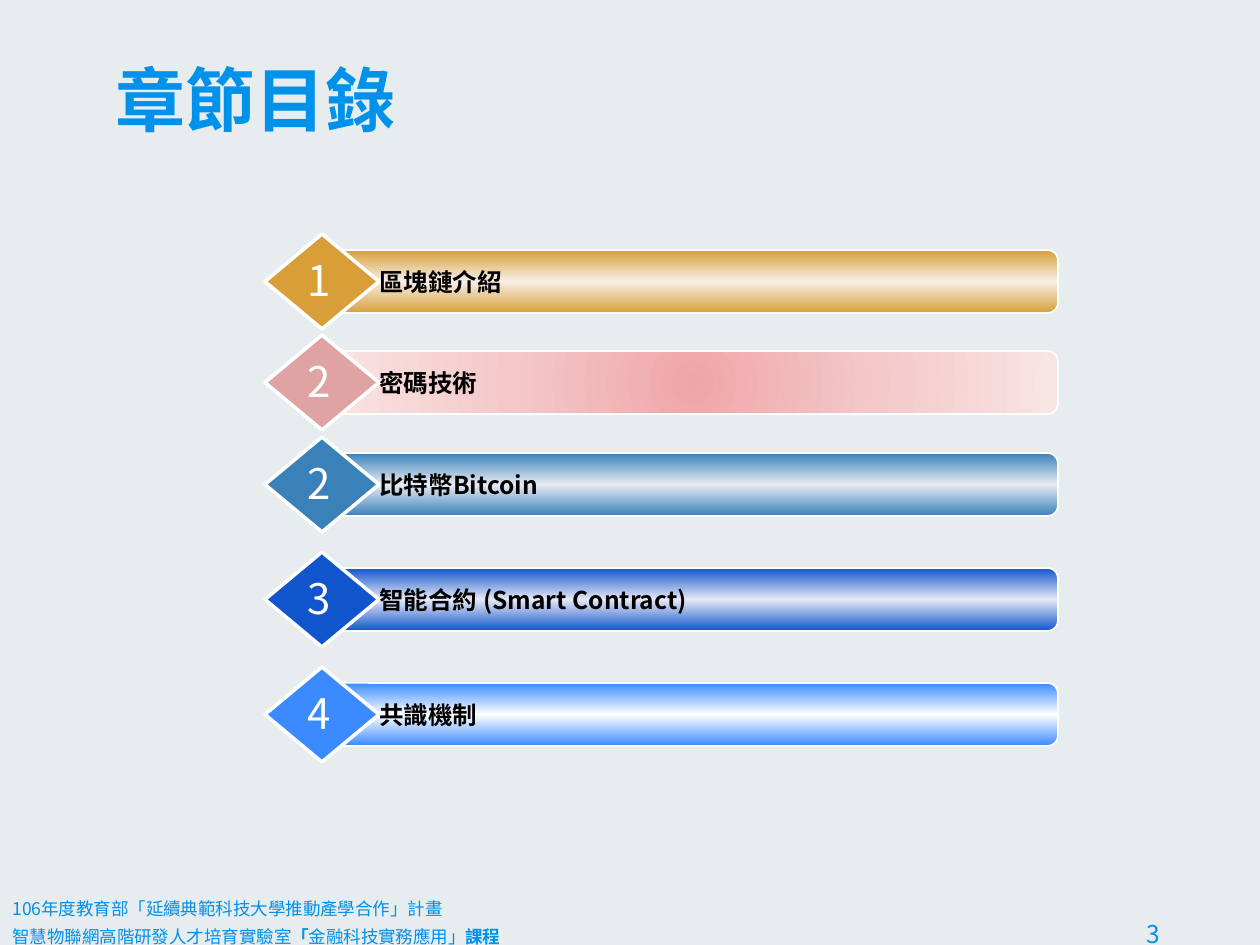
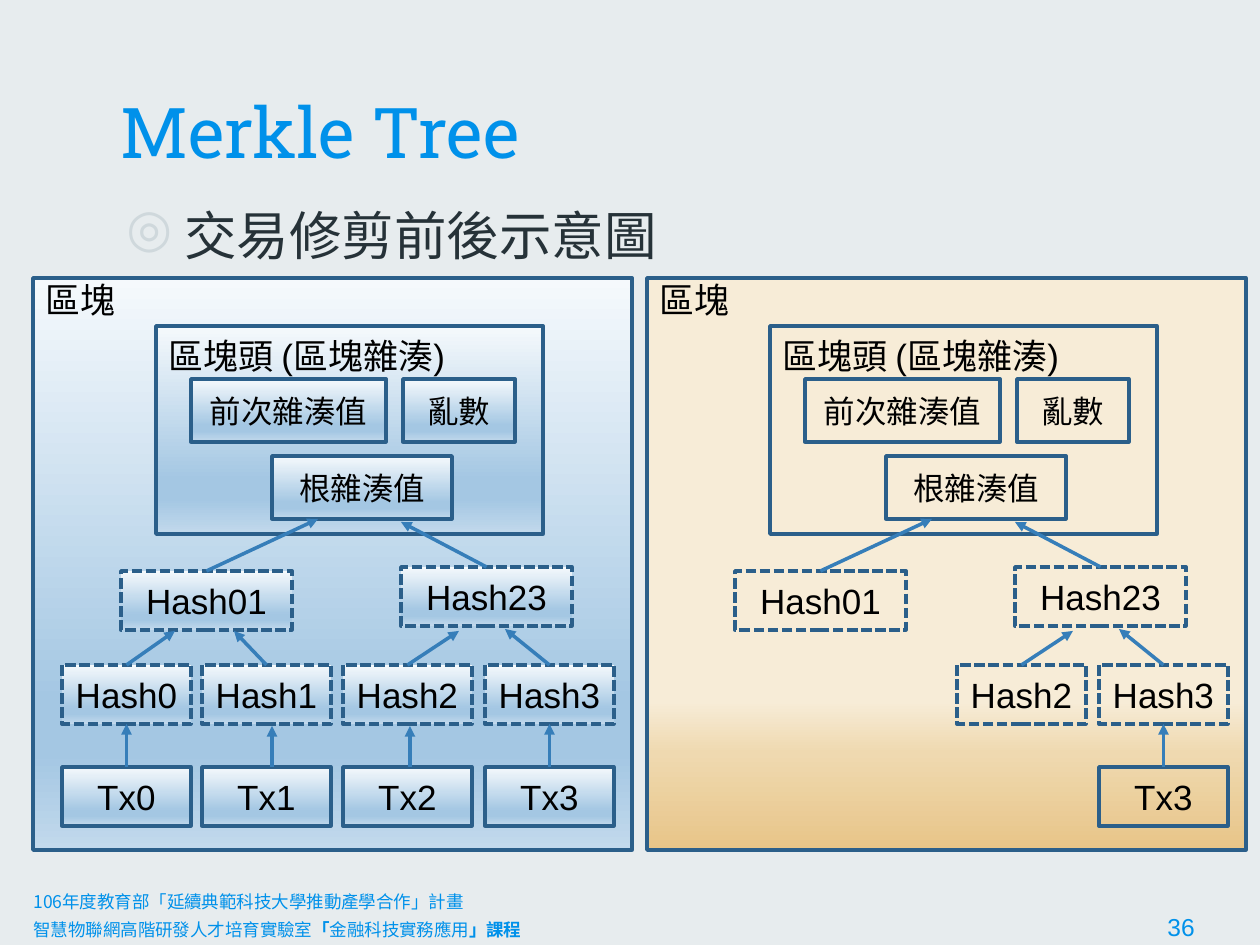
from lxml import etree
from pptx import Presentation
from pptx import util as u
from pptx.dml.color import RGBColor
from pptx.enum import dml, shapes, text
from pptx.oxml.ns import qn

PX = 914400 // 126
BLUE, BLACK, WHITE = "0091EA", "000000", "FFFFFF"
BACKDROP, BULLET, BODY_TEXT = "E7ECEE", "CFD8DC", "263238"
BOX_LINE, ARROW = "2B5F8A", "367EB9"
CJK, SLAB, SANS, BODY = "Noto Sans CJK SC", "Roboto Slab", "Arial", "Cabin"
LEFT, CENTER, JUSTIFY = text.PP_ALIGN.LEFT, text.PP_ALIGN.CENTER, text.PP_ALIGN.JUSTIFY
TOP, MIDDLE, BOTTOM = (text.MSO_ANCHOR.TOP, text.MSO_ANCHOR.MIDDLE,
                       text.MSO_ANCHOR.BOTTOM)
rgb = RGBColor.from_string


def add_box(slide, preset, place, fill, line, width):
    """Add a preset shape; fill is a hex string, a list of (percent, hex) or None."""
    box = slide.shapes.add_shape(preset, *[n * PX for n in place])
    box.shadow.inherit = False
    box.line.color.rgb = rgb(line)
    box.line.width = u.Pt(width)
    if fill is None:
        box.fill.background()
    elif isinstance(fill, str):
        box.fill.solid()
        box.fill.fore_color.rgb = rgb(fill)
    else:
        box.fill.gradient()
        box.fill.gradient_angle = 270
        stops = box.fill._xPr.find(qn("a:gradFill")).find(qn("a:gsLst"))
        stops[:] = []
        for percent, colour in fill:
            stop = etree.SubElement(stops, qn("a:gs"), pos=str(percent * 1000))
            etree.SubElement(stop, qn("a:srgbClr"), val=colour)
    return box


def write(shape, string, size, font, colour, bold=False, align=LEFT, anchor=TOP):
    """Fill the first paragraph of a shape and return it."""
    frame = shape.text_frame
    frame.word_wrap = True
    frame.vertical_anchor = anchor
    paragraph = frame.paragraphs[0]
    paragraph.alignment = align
    paragraph.add_run().text = string
    paragraph.font.size = u.Pt(size)
    paragraph.font.name = font
    paragraph.font.color.rgb = rgb(colour)
    paragraph.font.bold = bold
    return paragraph


prs = Presentation()
prs.slide_width, prs.slide_height = u.Inches(10), u.Inches(7.5)
backdrop = prs.slide_master.background.fill
backdrop.solid()
backdrop.fore_color.rgb = rgb(BACKDROP)

# Shared parts: title and two-line footer with the page number at a tab stop
pages = [
    ("章節目錄", CJK, True, (103, 25), (0, 892), CJK, "3",
     [("「", True), ("金融科技實務應用」", False), ("課程", True)]),
    ("Merkle Tree", SLAB, False, (108, 57), (21, 885), SANS, "36",
     [("「", True), ("金融科技實務應用", False), ("」課程", True)]),
]
slides = []
for heading, font, bold, title_at, footer_at, number_font, number, course in pages:
    slide = prs.slides.add_slide(prs.slide_layouts[6])
    slides.append(slide)
    title = slide.shapes.add_textbox(title_at[0] * PX, title_at[1] * PX,
                                     1043 * PX, 129 * PX)
    write(title, heading, 40, font, BLUE, bold, anchor=BOTTOM)
    title.text_frame.margin_top = title.text_frame.margin_bottom = 13 * PX

    footer = slide.shapes.add_textbox(footer_at[0] * PX, footer_at[1] * PX,
                                      1217 * PX, 50 * PX)
    write(footer, "106年度教育部「延續典範科技大學推動產學合作」計畫", 10, CJK, BLUE)
    lab = footer.text_frame.add_paragraph()
    lab.font.color.rgb = rgb(BLUE)
    tabs = etree.Element(qn("a:tabLst"))
    etree.SubElement(tabs, qn("a:tab"), pos=str(u.Inches(9)), algn="l")
    lab.font._element.addprevious(tabs)
    parts = [("智慧物聯網高階研發人才培育實驗室", False)] + course
    for string, strong in parts + [("\t" + number, False)]:
        run = lab.add_run()
        run.text = string
        is_number = string.startswith("\t")
        run.font.size = u.Pt(14 if is_number else 10)
        run.font.name = number_font if is_number else CJK
        run.font.bold = strong

contents, merkle = slides

# Contents: one bar, diamond, label and number per chapter
chapters = [
    (234, "1", "區塊鏈介紹", "D89F39", [(0, "D89F39"), (50, "F7EFE7"), (100, "D89F39")]),
    (335, "2", "密碼技術", "E0A3A3", [(0, "EFA6A7"), (50, "F4C8C9"), (100, "F9E4E4")]),
    (437, "2", "比特幣Bitcoin", "3A81BA", [(0, "3A81BA"), (50, "E7EBF2"), (100, "3A81BA")]),
    (552, "3", "智能合約 (Smart Contract)", "1155CC",
     [(0, "1155CC"), (50, "E6E8F5"), (100, "1155CC")]),
    (667, "4", "共識機制", "3B8AFF", [(0, "3B8AFF"), (50, "FFFFFF"), (100, "3B8AFF")]),
]
for top, number, chapter, colour, blend in chapters:
    bar = add_box(contents, shapes.MSO_SHAPE.ROUNDED_RECTANGLE,
                  (328, top + 16, 730, 63), blend, WHITE, 1)
    if chapter == "密碼技術":  # this bar fades outwards from its centre
        linear = bar.fill._xPr.find(qn("a:gradFill")).find(qn("a:lin"))
        radial = etree.Element(qn("a:path"), path="circle")
        etree.SubElement(radial, qn("a:fillToRect"),
                         l="50000", t="50000", r="50000", b="50000")
        linear.getparent().replace(linear, radial)
    add_box(contents, shapes.MSO_SHAPE.DIAMOND, (265, top, 114, 95), colour, WHITE, 2)
    label = contents.shapes.add_textbox(367 * PX, (top + 27) * PX, 682 * PX, 43 * PX)
    write(label, chapter, 14, CJK, BLACK, True, JUSTIFY)
    badge = contents.shapes.add_textbox(295 * PX, (top + 14) * PX, 50 * PX, 64 * PX)
    write(badge, number, 24, CJK, WHITE, align=JUSTIFY)
    badge.text_frame.word_wrap = False

# Merkle tree: bullet line
topic = merkle.shapes.add_textbox(109 * PX, 190 * PX, 1043 * PX, 656 * PX)
line = write(topic, "交易修剪前後示意圖", 30, BODY, BODY_TEXT)
topic.text_frame.margin_top = 13 * PX
line.space_before = u.Pt(6)
marks = line.font._element.getparent()
marks.set("marL", str(u.Inches(0.5)))
marks.set("indent", str(u.Inches(-0.46)))
bullet_colour = etree.Element(qn("a:buClr"))
etree.SubElement(bullet_colour, qn("a:srgbClr"), val=BULLET)
line.font._element.addprevious(bullet_colour)
line.font._element.addprevious(etree.Element(qn("a:buChar"), char="◎"))

# Nodes of the full tree: name, place, text size, dashed
nodes = [
    ("前次雜湊值", (191, 379, 195, 63), 18, False),
    ("亂數", (403, 379, 112, 63), 18, False),
    ("根雜湊值", (272, 456, 180, 63), 18, False),
    ("Hash01", (121, 571, 171, 59), 20, True),
    ("Hash23", (401, 567, 171, 59), 20, True),
]
for i, left in enumerate((62, 202, 343, 485)):
    nodes.append((f"Hash{i}", (left, 665, 129, 59), 20, True))
    nodes.append((f"Tx{i}", (left, 767, 129, 59), 20, False))

# Arrows: child, start (None = top middle), tip (None = bottom middle of parent), parent
arrows = [
    ("Hash01", None, (318, 519), "根雜湊值"),
    ("Hash23", None, (401, 522), "根雜湊值"),
    ("Hash0", None, (175, 631), "Hash01"),
    ("Hash1", None, (234, 631), "Hash01"),
    ("Hash2", None, (459, 631), "Hash23"),
    ("Hash3", None, (505, 629), "Hash23"),
    ("Tx0", None, None, "Hash0"),
    ("Tx1", (272, 767), (272, 726), "Hash1"),
    ("Tx2", (410, 767), (410, 726), "Hash2"),
    ("Tx3", None, None, "Hash3"),
]

# Block before and after pruning: shift, panel fill, node fill, pruned nodes
before = [(0, "F5F9FC"), (74, "A4C7E3"), (83, "A4C7E3"), (100, "C2D9EC")]
after = [(0, "F7ECD7"), (74, "F7ECD7"), (83, "EFD9B0"), (100, "E8C588")]
blocks = [(0, before, before, ()),
          (614, after, None, ("Hash0", "Hash1", "Tx0", "Tx1", "Tx2"))]
RECT = shapes.MSO_SHAPE.RECTANGLE
for shift, panel_fill, node_fill, pruned in blocks:
    for caption, (x, y, w, h), fill, inset in (
            ("區塊", (33, 278, 599, 572), panel_fill, 0),
            ("區塊頭 (區塊雜湊)", (156, 326, 387, 208), node_fill, 8)):
        panel = add_box(merkle, RECT, (x + shift, y, w, h), fill, BOX_LINE, 2)
        write(panel, caption, 20, SANS, BLACK)
        panel.text_frame.margin_top = inset * PX

    tree = {}
    for name, (x, y, w, h), size, dashed in nodes:
        if name in pruned:
            continue
        node = add_box(merkle, RECT, (x + shift, y, w, h), node_fill, BOX_LINE, 2)
        write(node, name, size, SANS, BLACK, align=CENTER, anchor=MIDDLE)
        if dashed:
            node.line.dash_style = dml.MSO_LINE.SQUARE_DOT
        tree[name] = node

    for child, start, tip, parent in arrows:
        if child in pruned:
            continue
        (x1, y1), (x2, y2) = start or (0, 0), tip or (0, 0)
        arrow = merkle.shapes.add_connector(
            shapes.MSO_CONNECTOR.STRAIGHT,
            (x1 + shift) * PX, y1 * PX, (x2 + shift) * PX, y2 * PX)
        if start is None:
            arrow.begin_connect(tree[child], 0)
        if tip is None:
            arrow.end_connect(tree[parent], 2)
        arrow.line.color.rgb = rgb(ARROW)
        arrow.line.width = u.Pt(2)
        properties = arrow._element.spPr
        etree.SubElement(properties.find(qn("a:ln")), qn("a:tailEnd"), type="triangle")
        etree.SubElement(properties, qn("a:effectLst"))

prs.save("out.pptx")
